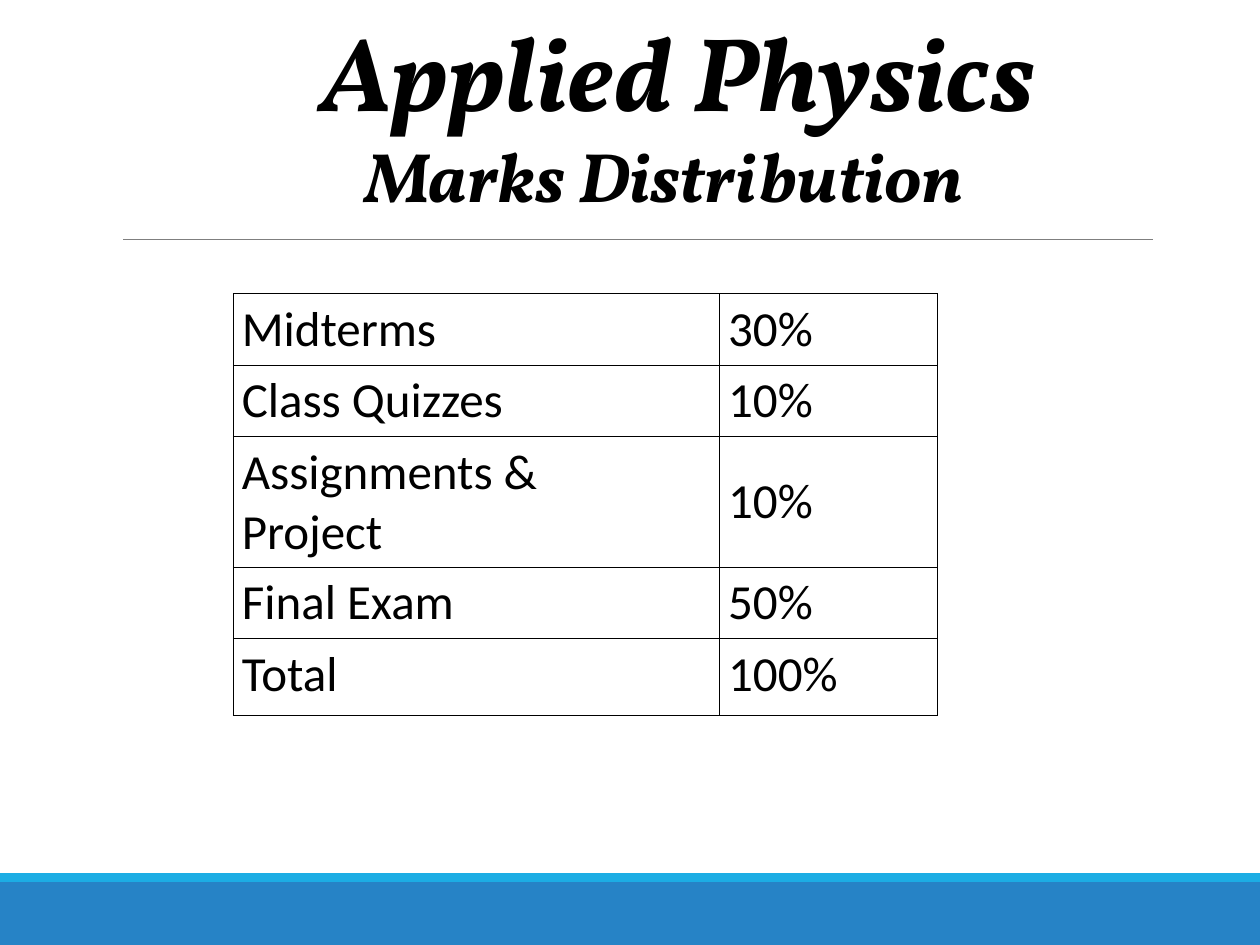
from lxml import etree
from pptx import Presentation
from pptx.dml.color import RGBColor
from pptx.enum.shapes import MSO_CONNECTOR, MSO_SHAPE
from pptx.enum.text import MSO_ANCHOR, PP_ALIGN
from pptx.oxml.ns import qn
from pptx.util import Inches, Pt

RECTANGLE = MSO_SHAPE.RECTANGLE
STRAIGHT = MSO_CONNECTOR.STRAIGHT
CENTER = PP_ALIGN.CENTER
TOP, MIDDLE = MSO_ANCHOR.TOP, MSO_ANCHOR.MIDDLE

BLACK = RGBColor(0x00, 0x00, 0x00)
GRAY = RGBColor(0x7F, 0x7F, 0x7F)
BLUE = RGBColor(0x26, 0x83, 0xC6)
LIGHT_BLUE = RGBColor(0x1C, 0xAD, 0xE4)

MARKS = [
    ("Midterms", "30%"),
    ("Class Quizzes", "10%"),
    ("Assignments &\nProject", "10%"),
    ("Final Exam", "50%"),
    ("Total", "100%"),
]
COLUMN_WIDTHS = [3.86, 1.73]
ROW_HEIGHTS = [0.55, 0.49, 0.93, 0.51, 0.61]


def add_band(slide, top, height, color):
    band = slide.shapes.add_shape(
        RECTANGLE, 0, Inches(top), Inches(10), Inches(height))
    band.shadow.inherit = False
    band.fill.solid()
    band.fill.fore_color.rgb = color
    band.line.fill.background()


def add_rule(slide, left, right, top):
    rule = slide.shapes.add_connector(
        STRAIGHT, Inches(left), Inches(top), Inches(right), Inches(top))
    rule.line.color.rgb = GRAY
    rule.line.width = Pt(0.5)
    properties = rule._element.find(qn("p:spPr"))
    etree.SubElement(properties, qn("a:effectLst"))


def style_paragraph(para, font_name, size, bold=False, italic=False):
    font = para.font
    font.name = font_name
    font.size = Pt(size)
    font.bold = bold
    font.italic = italic
    font.color.rgb = BLACK


def add_title(slide):
    box = slide.shapes.add_textbox(
        Inches(0.75), 0, Inches(9.25), Inches(1.77))
    frame = box.text_frame
    frame.word_wrap = True
    frame.text = "Applied Physics\nMarks Distribution"
    for para, size in zip(frame.paragraphs, (60, 40)):
        para.alignment = CENTER
        style_paragraph(para, "Vollkorn", size, bold=True, italic=True)
    # A right margin sets the subtitle slightly left of centre.
    subtitle = frame.paragraphs[1]
    subtitle._p.get_or_add_pPr().set("marR", str(Inches(0.2)))


def add_cell_borders(cell):
    properties = cell._tc.get_or_add_tcPr()
    for position, side in enumerate(("lnL", "lnR", "lnT", "lnB")):
        line = etree.Element(qn(f"a:{side}"), w=str(Pt(0.45)))
        fill = etree.SubElement(line, qn("a:solidFill"))
        etree.SubElement(fill, qn("a:srgbClr"), val=str(BLACK))
        properties.insert(position, line)


def fill_cell(cell, text, anchor):
    cell.text = text
    cell.vertical_anchor = anchor
    cell.margin_left = cell.margin_right = Inches(0.07)
    cell.margin_top = cell.margin_bottom = Inches(0.05)
    cell.fill.background()
    for para in cell.text_frame.paragraphs:
        style_paragraph(para, "Calibri", 28)
    add_cell_borders(cell)


def add_marks_table(slide):
    table = slide.shapes.add_table(
        len(MARKS), len(COLUMN_WIDTHS), Inches(1.85), Inches(2.33),
        Inches(sum(COLUMN_WIDTHS)), Inches(sum(ROW_HEIGHTS))).table
    table.first_row = table.horz_banding = False
    for column, width in zip(table.columns, COLUMN_WIDTHS):
        column.width = Inches(width)
    for row, height, texts in zip(table.rows, ROW_HEIGHTS, MARKS):
        row.height = Inches(height)
        anchor = TOP if texts[0] == "Total" else MIDDLE
        for cell, text in zip(row.cells, texts):
            fill_cell(cell, text, anchor)


def main():
    deck = Presentation()
    deck.slide_width = Inches(10)
    deck.slide_height = Inches(7.5)
    slide = deck.slides.add_slide(deck.slide_layouts[6])
    add_band(slide, 7, 0.5, BLUE)
    add_band(slide, 6.93, 0.07, LIGHT_BLUE)
    add_rule(slide, 0.98, 9.15, 1.9)
    add_title(slide)
    add_marks_table(slide)
    deck.save("out.pptx")


if __name__ == "__main__":
    main()
